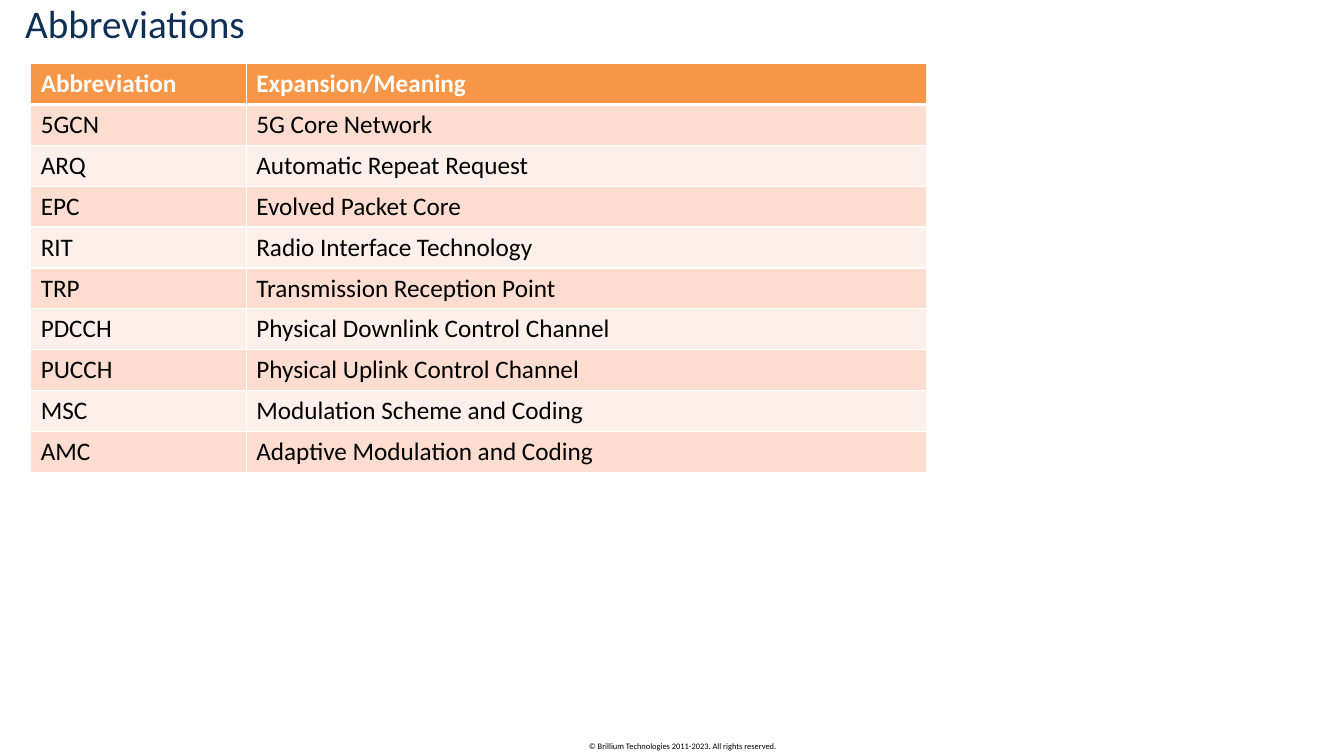
from lxml import etree
from pptx import Presentation
from pptx.dml.color import RGBColor
from pptx.enum import text
from pptx.oxml import ns
from pptx.util import Pt

COLORS = {"title": "0F3056", "header": "F79646", "odd": "FCDDCF",
          "even": "FDEFE9", "white": "FFFFFF", "black": "000000"}
FONT = "Calibri"
ROWS = [
    ("Abbreviation", "Expansion/Meaning"),
    ("5GCN", "5G Core Network"),
    ("ARQ", "Automatic Repeat Request"),
    ("EPC", "Evolved Packet Core"),
    ("RIT", "Radio Interface Technology"),
    ("TRP", "Transmission Reception Point"),
    ("PDCCH", "Physical Downlink Control Channel"),
    ("PUCCH", "Physical Uplink Control Channel"),
    ("MSC", "Modulation Scheme and Coding"),
    ("AMC", "Adaptive Modulation and Coding"),
]


def rgb(name):
    return RGBColor.from_string(COLORS[name])


def write(tf, content, size, color, bold=False, align=text.PP_ALIGN.LEFT):
    p = tf.paragraphs[0]
    p.alignment = align
    r = p.add_run()
    r.text = content
    for key, value in {"name": FONT, "size": Pt(size), "bold": bold}.items():
        setattr(r.font, key, value)
    r.font.color.rgb = rgb(color)


def set_borders(cell, color, widths):
    """Draw cell borders; widths maps side letters (L, R, T, B) to points."""
    tc_pr = cell._tc.get_or_add_tcPr()
    for i, (side, width) in enumerate(widths.items()):
        ln = etree.Element(ns.qn(f"a:ln{side}"), w=str(Pt(width)))
        fill = etree.SubElement(ln, ns.qn("a:solidFill"))
        etree.SubElement(fill, ns.qn("a:srgbClr"), val=COLORS[color])
        tc_pr.insert(i, ln)


def place_title(slide, box):
    sp = slide.shapes.title
    sp.left, sp.top, sp.width, sp.height = map(Pt, box)
    tf = sp.text_frame
    for key, value in {"margin_top": 0, "margin_bottom": 0, "word_wrap": True,
                       "vertical_anchor": text.MSO_ANCHOR.MIDDLE,
                       "auto_size": text.MSO_AUTO_SIZE.NONE}.items():
        setattr(tf, key, value)
    write(tf, "Abbreviations", 28, "title")


def place_table(slide, box, first_width):
    left, top, width, height = box
    table = slide.shapes.add_table(len(ROWS), 2, *map(Pt, box)).table
    for col, col_width in zip(table.columns, (first_width, width - first_width)):
        col.width = Pt(col_width)
    for i, values in enumerate(ROWS):
        table.rows[i].height = Pt(height / len(ROWS))
        header = i == 0
        fill = "header" if header else ("even", "odd")[i % 2]
        widths = {"L": 1, "R": 1, "T": 3 if i == 1 else 1, "B": 3 if header else 1}
        for cell, value in zip(table.rows[i].cells, values):
            cell.fill.solid()
            cell.fill.fore_color.rgb = rgb(fill)
            set_borders(cell, "white", widths)
            write(cell.text_frame, value, 18, "white" if header else "black", header)


def place_copyright(slide, box):
    tf = slide.shapes.add_textbox(*map(Pt, box)).text_frame
    tf.word_wrap = True
    write(tf, "© Brillium Technologies 2011-2023. All rights reserved.", 6, "black",
          align=text.PP_ALIGN.CENTER)


def main():
    prs = Presentation()
    prs.slide_width, prs.slide_height = Pt(960), Pt(540)
    slide = prs.slides.add_slide(prs.slide_layouts[5])
    place_copyright(slide, (355, 525.6, 265, 15))
    place_title(slide, (10.8, 0.7, 901.4, 31))
    place_table(slide, (21.9, 45.4, 640, 292), 154)
    prs.save("out.pptx")


if __name__ == "__main__":
    main()
